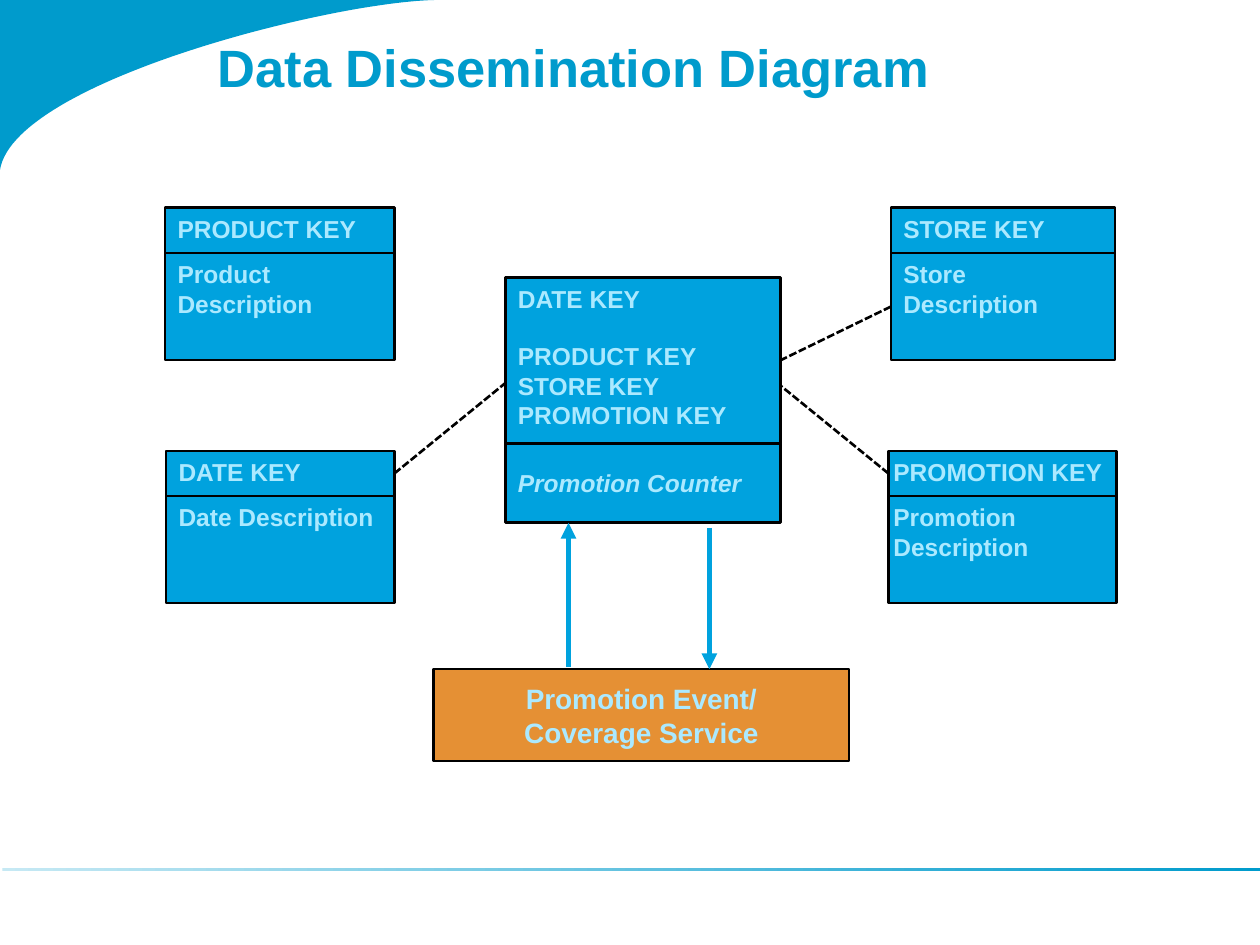
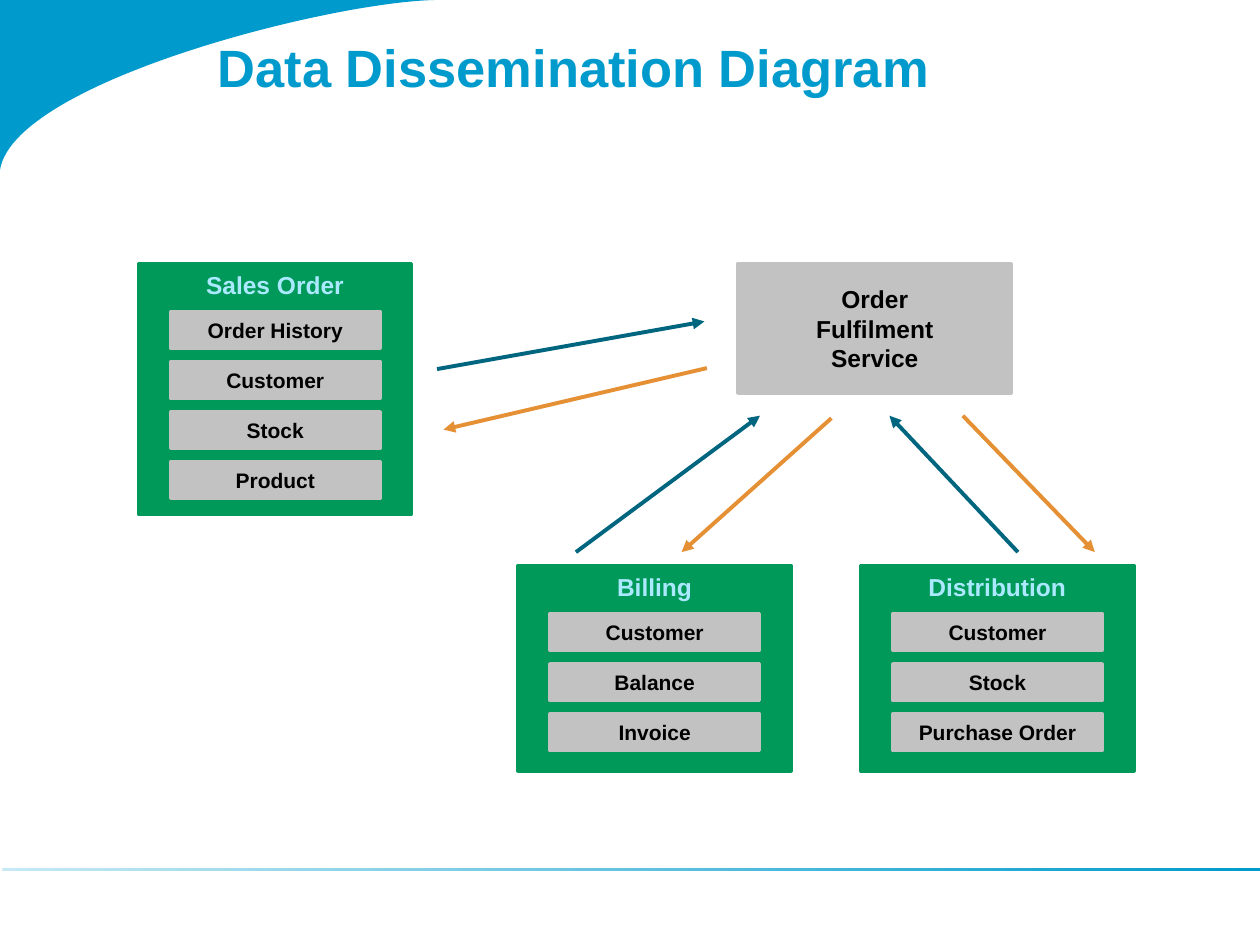
from lxml.etree import SubElement
from pptx import Presentation
from pptx.dml.color import RGBColor
from pptx.enum.dml import MSO_LINE
from pptx.enum.shapes import MSO_CONNECTOR, MSO_SHAPE
from pptx.enum.text import MSO_ANCHOR, PP_ALIGN
from pptx.oxml.ns import qn
from pptx.util import Cm, Pt

BRAND = RGBColor(0x00, 0x9B, 0xCC)
PALE = RGBColor(0xC6, 0xE9, 0xF4)
BLUE = RGBColor(0x00, 0xA2, 0xDE)
ICE = RGBColor(0xAB, 0xE9, 0xFF)
ORANGE = RGBColor(0xE5, 0x90, 0x34)
GREEN = RGBColor(0x00, 0x99, 0x59)
GREY = RGBColor(0xC3, 0xC2, 0xC2)
TEAL = RGBColor(0x00, 0x66, 0x7F)
BLACK = RGBColor(0x00, 0x00, 0x00)

FONT = "Arial"
TOP, LEFT, BOTTOM, RIGHT = range(4)
HEADER_HEIGHT = 0.91
BODY_HEIGHT = 2.16
PANEL_WIDTH = 5.51
ITEM_PITCH = 1.01


class DiagramDeck:
    def __init__(self):
        self.deck = Presentation()
        self.deck.slide_width = Cm(25.4)
        self.deck.slide_height = Cm(19.05)
        self.page = None

    def add_page(self, title):
        self.page = self.deck.slides.add_slide(self.deck.slide_layouts[6])
        self.add_corner()
        self.add_footer_rule()
        box = self.page.shapes.add_textbox(Cm(4.19), Cm(0), Cm(17.81), Cm(3.73))
        self.add_text(box, [title], 30, BRAND, insets=(0.2, 0.71, 0.2, 0.1))

    def add_corner(self):
        curve = [(0, 3.43), (0.28, 1.63), (6.81, 0), (8.86, 0)]
        steps = 60
        points = []
        for step in range(steps + 1):
            t = step / steps
            weights = ((1 - t) ** 3, 3 * t * (1 - t) ** 2, 3 * t ** 2 * (1 - t), t ** 3)
            points.append(tuple(
                Cm(sum(weight * point[axis] for weight, point in zip(weights, curve)))
                for axis in (0, 1)))
        builder = self.page.shapes.build_freeform(0, 0)
        builder.add_line_segments(points, close=True)
        corner = builder.convert_to_shape()
        self.paint(corner, BRAND)

    def add_footer_rule(self):
        rule = self.page.shapes.add_shape(
            MSO_SHAPE.RECTANGLE, Cm(0.05), Cm(17.5), Cm(25.35), Cm(0.06))
        rule.shadow.inherit = False
        rule.line.fill.background()
        rule.fill.gradient()
        rule.fill.gradient_angle = 0
        for stop, color in zip(rule.fill.gradient_stops, (PALE, BRAND)):
            stop.color.rgb = color

    def paint(self, shape, fill, line=None, weight=1.5):
        shape.shadow.inherit = False
        shape.fill.solid()
        shape.fill.fore_color.rgb = fill
        if line is None:
            shape.line.fill.background()
        else:
            shape.line.color.rgb = line
            shape.line.width = Pt(weight)

    def add_text(self, shape, lines, size, color, align=PP_ALIGN.LEFT, anchor=MSO_ANCHOR.TOP,
                 insets=(0.25, 0.13, 0.25, 0.13), italic=False):
        frame = shape.text_frame
        frame.word_wrap = True
        frame.vertical_anchor = anchor
        frame.margin_left, frame.margin_top, frame.margin_right, frame.margin_bottom = map(Cm, insets)
        for index, line in enumerate(lines):
            para = frame.add_paragraph() if index else frame.paragraphs[0]
            para.alignment = align
            for row, text in enumerate(line.split("\n")):
                if row:
                    para.add_line_break()
                span = para.add_run()
                span.text = text
                span.font.name = FONT
                span.font.size = Pt(size)
                span.font.bold = True
                span.font.italic = italic
                span.font.color.rgb = color

    def add_box(self, left, top, width, height, lines, fill=BLUE, line=BLACK, weight=1.5,
                size=14, color=ICE, **layout):
        box = self.page.shapes.add_shape(
            MSO_SHAPE.RECTANGLE, Cm(left), Cm(top), Cm(width), Cm(height))
        self.paint(box, fill, line, weight)
        self.add_text(box, lines, size, color, **layout)
        return box

    def add_entity(self, left, top, width, key, description, side_inset=0.25):
        insets = (side_inset, 0.13, side_inset, 0.13)
        body = self.add_box(left, top + HEADER_HEIGHT, width, BODY_HEIGHT, [description], insets=insets)
        header = self.add_box(left, top, width, HEADER_HEIGHT, [key], insets=insets)
        return header, body

    def add_flat_box(self, left, top, width, height, lines, fill=GREY, color=BLACK,
                     size=14, anchor=MSO_ANCHOR.MIDDLE):
        return self.add_box(left, top, width, height, lines, fill, fill, 2, size, color,
                            align=PP_ALIGN.CENTER, anchor=anchor)

    def add_panel(self, left, top, height, title, items):
        self.add_flat_box(left, top, PANEL_WIDTH, height, [title], GREEN, ICE, anchor=MSO_ANCHOR.TOP)
        for index, item in enumerate(items):
            self.add_flat_box(left + 0.65, top + 0.97 + index * ITEM_PITCH, 4.22, 0.74, [item], size=12)

    def add_line(self, start, end, color, weight, dashed=False, arrow=False):
        connector = self.page.shapes.add_connector(
            MSO_CONNECTOR.STRAIGHT, *(Cm(value) for value in start + end))
        connector.line.color.rgb = color
        connector.line.width = Pt(weight)
        if dashed:
            connector.line.dash_style = MSO_LINE.SQUARE_DOT
        properties = connector._element.spPr
        if arrow:
            SubElement(properties.get_or_add_ln(), qn("a:tailEnd"), type="triangle")
        SubElement(properties, qn("a:effectLst"))
        return connector


def build_star_schema(diagram):
    diagram.add_page("Data Dissemination Diagram")
    diagram.add_entity(3.33, 4.19, 4.62, "PRODUCT KEY", "Product Description")
    date_key, _ = diagram.add_entity(3.35, 9.09, 4.6, "DATE KEY", "Date Description")
    _, store_body = diagram.add_entity(17.96, 4.19, 4.52, "STORE KEY", "Store Description")
    promotion_key, _ = diagram.add_entity(
        17.91, 9.09, 4.6, "PROMOTION KEY", "Promotion Description", side_inset=0.1)

    diagram.add_box(10.19, 8.94, 5.54, 1.6, ["Promotion Counter"],
                    anchor=MSO_ANCHOR.MIDDLE, italic=True)
    fact_keys = diagram.add_box(
        10.19, 5.59, 5.54, 3.35, ["DATE KEY", "PRODUCT KEY", "STORE KEY", "PROMOTION KEY"])
    fact_keys.text_frame.paragraphs[1].space_before = Pt(16)
    diagram.add_box(8.74, 13.49, 8.38, 1.85, ["Promotion Event/\nCoverage Service"], fill=ORANGE,
                    size=16, align=PP_ALIGN.CENTER, anchor=MSO_ANCHOR.MIDDLE)

    diagram.add_line((11.46, 13.44), (11.46, 10.54), BLUE, 3, arrow=True)
    diagram.add_line((14.3, 10.64), (14.3, 13.49), BLUE, 3, arrow=True)

    date_link = diagram.add_line((7.95, 9.55), (10.19, 7.72), BLACK, 1.5, dashed=True)
    date_link.begin_connect(date_key, RIGHT)
    promotion_link = diagram.add_line((17.91, 9.55), (15.73, 7.77), BLACK, 1.5, dashed=True)
    promotion_link.begin_connect(promotion_key, LEFT)
    store_link = diagram.add_line((17.96, 6.18), (15.73, 7.26), BLACK, 1.5, dashed=True)
    store_link.begin_connect(store_body, LEFT)
    store_link.end_connect(fact_keys, RIGHT)


def build_order_flow(diagram):
    diagram.add_page("Data Dissemination Diagram")
    diagram.add_panel(17.35, 11.4, 4.14, "Distribution", ["Customer", "Stock", "Purchase Order"])
    diagram.add_panel(10.44, 11.4, 4.14, "Billing", ["Customer", "Balance", "Invoice"])
    diagram.add_panel(2.79, 5.31, 5.05, "Sales Order",
                      ["Order History", "Customer", "Stock", "Product"])
    diagram.add_flat_box(14.88, 5.31, PANEL_WIDTH, 2.62, ["Order", "Fulfilment", "Service"])

    flows = {
        TEAL: [((8.81, 7.44), (14.2, 6.48)),
               ((11.61, 11.13), (15.32, 8.38)),
               ((20.52, 11.13), (17.93, 8.38))],
        ORANGE: [((14.25, 7.42), (8.94, 8.66)),
                 ((16.76, 8.43), (13.74, 11.13)),
                 ((19.41, 8.38), (22.07, 11.13))],
    }
    for color, arrows in flows.items():
        for start, end in arrows:
            diagram.add_line(start, end, color, 2.25, arrow=True)


def main():
    diagram = DiagramDeck()
    build_star_schema(diagram)
    build_order_flow(diagram)
    diagram.deck.save("out.pptx")


if __name__ == "__main__":
    main()
